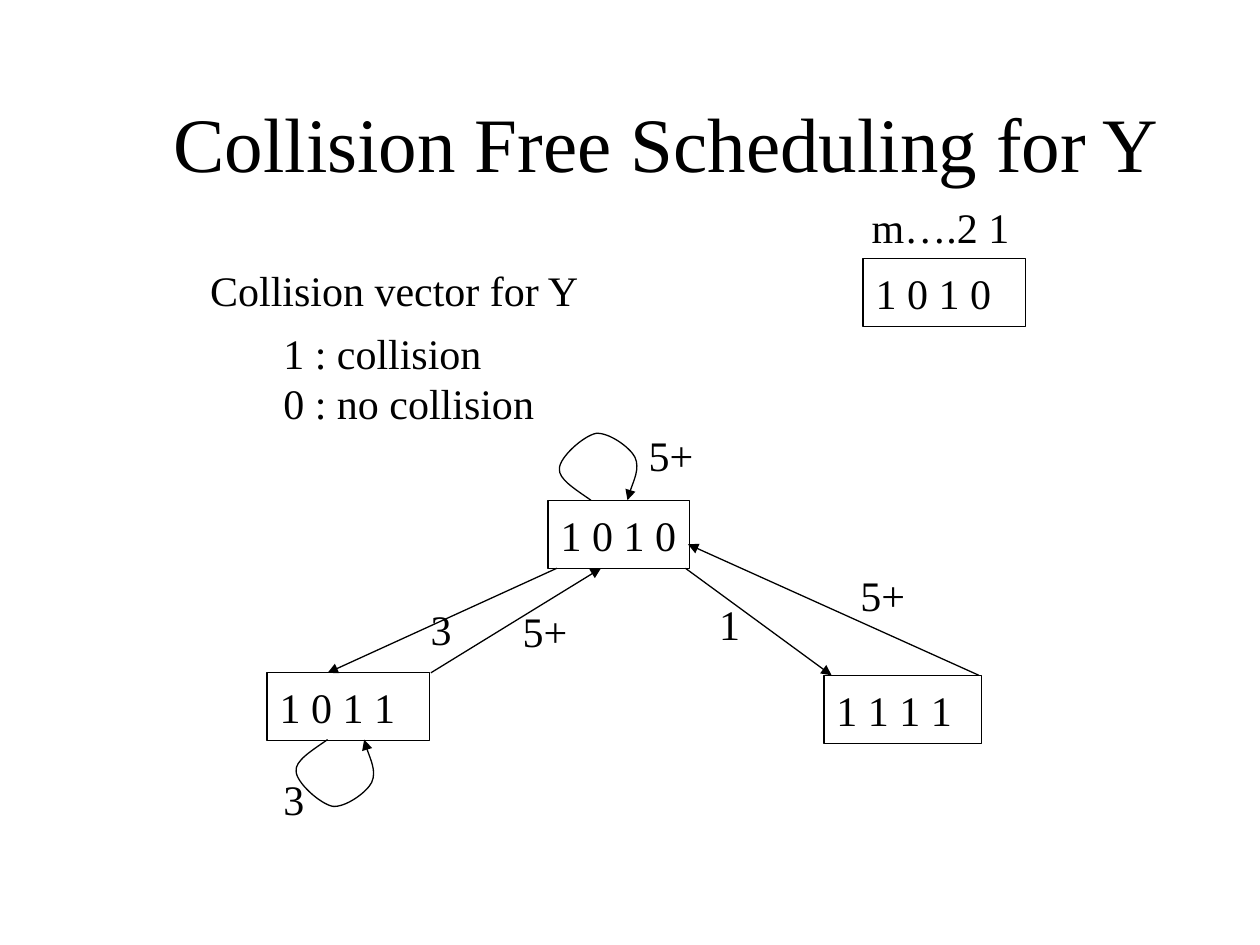
from lxml.etree import SubElement
from pptx import Presentation
from pptx.dml.color import RGBColor
from pptx.enum.shapes import MSO_CONNECTOR, MSO_SHAPE
from pptx.enum.text import MSO_ANCHOR, PP_ALIGN
from pptx.oxml.ns import qn
from pptx.util import Inches, Pt

COLORS = {"ink": "000000"}
FONT = "Times New Roman"
NODE_HEIGHT = 0.54
LOOP = [(-0.13, 0.09), (-0.26, 0.17), (-0.25, 0.25),
        (-0.25, 0.34), (-0.06, 0.51), (0.04, 0.53),
        (0.14, 0.54), (0.31, 0.42), (0.35, 0.34),
        (0.39, 0.25), (0.3, 0.06), (0.29, 0)]


def add_lines(tf, lines, size=24):
    """Write left-aligned lines, one paragraph each."""
    for i, line in enumerate(lines):
        p = tf.add_paragraph() if i else tf.paragraphs[0]
        p.alignment = PP_ALIGN.LEFT
        r = p.add_run()
        r.text = line
        r.font.name = FONT
        r.font.size = Pt(size)
        r.font.color.rgb = RGBColor.from_string(COLORS["ink"])


def add_text(s, x, y, w, h, *lines):
    """Place a text box that does not wrap."""
    sp = s.shapes.add_textbox(Inches(x), Inches(y), Inches(w), Inches(h))
    sp.text_frame.word_wrap = False
    add_lines(sp.text_frame, lines)


def add_label(s, x, y, text):
    """Place the latency label of a transition."""
    add_text(s, x, y, 0.37 if len(text) == 1 else 0.56, 0.5, text)


def style_line(sp, arrow=True):
    """Give a shape a thin line, with an arrowhead where it ends."""
    sp.line.color.rgb = RGBColor.from_string(COLORS["ink"])
    sp.line.width = Pt(0.75)
    if arrow:
        SubElement(sp.line._get_or_add_ln(), qn("a:tailEnd"), type="triangle")


def add_node(s, x, y, w, bits):
    """Draw a box that holds a collision vector."""
    sp = s.shapes.add_shape(MSO_SHAPE.RECTANGLE, Inches(x), Inches(y),
                            Inches(w), Inches(NODE_HEIGHT))
    sp.shadow.inherit = False
    sp.fill.background()
    style_line(sp, arrow=False)
    tf = sp.text_frame
    tf.word_wrap = True
    tf.margin_right = 0
    tf.vertical_anchor = MSO_ANCHOR.MIDDLE
    add_lines(tf, [bits])


def add_arrow(s, x1, y1, x2, y2):
    """Draw a straight transition between two states."""
    sp = s.shapes.add_connector(MSO_CONNECTOR.STRAIGHT, Inches(x1), Inches(y1),
                                Inches(x2), Inches(y2))
    style_line(sp)
    SubElement(sp._element.spPr, qn("a:effectLst"))


def add_loop(s, x, y, direction):
    """Draw a curved self-transition, upward for -1 and downward for 1."""
    points = [(Inches(x + dx), Inches(y + direction * dy)) for dx, dy in LOOP]
    builder = s.shapes.build_freeform(Inches(x), Inches(y))
    builder.add_line_segments(points, close=False)
    sp = builder.convert_to_shape()
    path = sp._element.spPr.find(".//" + qn("a:path"))
    segments = path.findall(qn("a:lnTo"))
    for i in range(0, len(segments), 3):
        curve = SubElement(path, qn("a:cubicBezTo"))
        for segment in segments[i:i + 3]:
            curve.append(segment[0])
            path.remove(segment)
    sp.shadow.inherit = False
    sp.fill.background()
    style_line(sp)


def add_title(s, x, y, w, h):
    """Place the slide title."""
    sp = s.shapes.add_textbox(Inches(x), Inches(y), Inches(w), Inches(h))
    tf = sp.text_frame
    tf.word_wrap = True
    tf.vertical_anchor = MSO_ANCHOR.MIDDLE
    add_lines(tf, ["Collision Free Scheduling for Y"], 44)


def add_legend(s, x, y):
    """Explain the collision vector and its bits."""
    add_text(s, x, y + 0.5, 3.13, 0.5, "Collision vector for Y")
    add_text(s, x + 0.58, y + 1, 2.19, 0.9, "1 : collision", "0 : no collision")
    add_text(s, x + 5.25, y, 1.29, 0.5, "m….2 1")
    add_node(s, x + 5.28, y + 0.5, 1.29, "1 0 1 0")


def add_state_diagram(s, x, y):
    """Draw the states, the transitions and their latencies."""
    for dx, dy, w, bits in [(2.23, 0.61, 1.12, "1 0 1 0"),
                            (0, 1.98, 1.29, "1 0 1 1"),
                            (4.42, 2, 1.25, "1 1 1 1")]:
        add_node(s, x + dx, y + dy, w, bits)
    for x1, y1, x2, y2 in [(3.32, 1.15, 4.48, 2), (5.65, 2, 3.34, 0.96),
                           (2.3, 1.15, 0.48, 1.98), (1.3, 1.98, 2.65, 1.15)]:
        add_arrow(s, x + x1, y + y1, x + x2, y + y2)
    add_loop(s, x + 2.57, y + 0.61, -1)
    add_loop(s, x + 0.48, y + 2.51, 1)
    for dx, dy, text in [(1.2, 1.38, "3"), (1.93, 1.4, "5+"), (2.93, 0, "5+"),
                         (4.61, 1.11, "5+"), (3.49, 1.34, "1"),
                         (0.03, 2.73, "3")]:
        add_label(s, x + dx, y + dy, text)


def main():
    """Build and save the slide."""
    prs = Presentation()
    prs.slide_width, prs.slide_height = Inches(10), Inches(7.5)
    s = prs.slides.add_slide(prs.slide_layouts[6])
    add_title(s, 1.28, 0.5, 8.5, 1.25)
    add_legend(s, 1.57, 1.55)
    add_state_diagram(s, 2.12, 3.36)
    prs.save("out.pptx")


if __name__ == "__main__":
    main()
